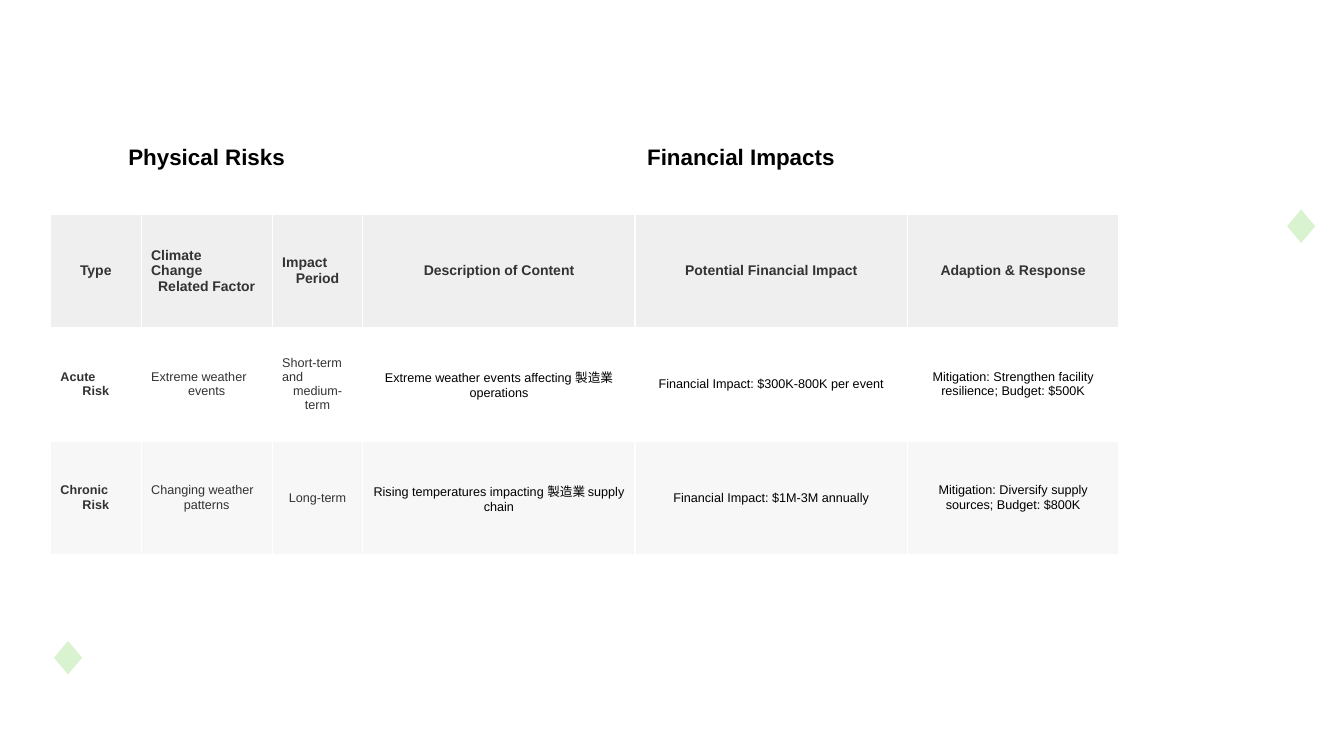
from lxml import etree
from pptx import Presentation
from pptx import util as u
from pptx.dml.color import RGBColor
from pptx.enum import shapes, text
from pptx.oxml.ns import qn

GREEN, WHITE, BLACK, GREY = "D9F2D0", "FFFFFF", "000000", "333333"
COLUMNS = [9, 13, 9, 27, 27, 21]
GROUPS = {0: "Physical Risks", 3: "Financial Impacts"}
HEADINGS = ["Type", "Climate\nChange\nRelated Factor", "Impact\nPeriod",
            "Description of Content", "Potential Financial Impact",
            "Adaption & Response"]
RISKS = [
    ["Acute\nRisk", "Extreme weather\nevents", "Short-term\nand\nmedium-term",
     "Extreme weather events affecting 製造業 operations",
     "Financial Impact: $300K-800K per event",
     "Mitigation: Strengthen facility resilience; Budget: $500K"],
    ["Chronic\nRisk", "Changing weather\npatterns", "Long-term",
     "Rising temperatures impacting 製造業 supply chain",
     "Financial Impact: $1M-3M annually",
     "Mitigation: Diversify supply sources; Budget: $800K"],
]


def color(fmt, value):
    fmt.rgb = RGBColor.from_string(value)


def add_preset(slide, kind, box, line, width, fill=None):
    sp = slide.shapes.add_shape(kind, *map(u.Inches, box))
    sp.shadow.inherit = False
    if fill:
        sp.fill.solid()
        color(sp.fill.fore_color, fill)
    else:
        sp.fill.background()
    color(sp.line.color, line)
    sp.line.width = u.Pt(width)
    return sp


def add_decoration(slide, arc_box, diamond_size, diamond_spots):
    sp = add_preset(slide, shapes.MSO_SHAPE.ARC, arc_box, GREEN, 46.25)
    sp.rotation = 151.3
    sp.adjustments[0], sp.adjustments[1] = 91.23, 129.22
    stroke = sp.line._get_or_add_ln().find(".//" + qn("a:srgbClr"))
    etree.SubElement(stroke, qn("a:alpha"), val="60000")
    for spot in diamond_spots:
        add_preset(slide, shapes.MSO_SHAPE.DIAMOND, spot + diamond_size, WHITE, 1.5, GREEN)


def fill_cell(cell, words, fill, ink, **font):
    cell.fill.solid()
    color(cell.fill.fore_color, fill)
    cell.vertical_anchor = text.MSO_ANCHOR.MIDDLE
    tf = cell.text_frame
    lines = words.split("\n")
    for i, line in enumerate(lines):
        p = tf.add_paragraph() if i else tf.paragraphs[0]
        last = i == len(lines) - 1
        p.alignment = text.PP_ALIGN.CENTER if last else text.PP_ALIGN.LEFT
        r = p.add_run()
        r.text = line
        for name, value in {"name": "Arial", **font}.items():
            setattr(r.font, name, value)
        color(r.font.color, ink)


def add_risk_table(slide, left, top, width, height):
    rows = 2 + len(RISKS)
    frame = slide.shapes.add_table(rows, len(COLUMNS), *map(u.Inches, (left, top, width, height)))
    table = frame.table
    for column, share in zip(table.columns, COLUMNS):
        column.width = u.Inches(width * share / sum(COLUMNS))
    for row in table.rows:
        row.height = u.Inches(height / rows)
    for start, title in GROUPS.items():
        table.cell(0, start).merge(table.cell(0, start + 2))
        fill_cell(table.cell(0, start), title, WHITE, BLACK, size=u.Pt(16), bold=True)
    for c, heading in enumerate(HEADINGS):
        fill_cell(table.cell(1, c), heading, "EFEFEF", GREY, size=u.Pt(10), bold=True)
    for n, (risk, fill) in enumerate(zip(RISKS, [WHITE, "F7F7F7"]), 2):
        for c, words in enumerate(risk):
            ink = GREY if c < 3 else BLACK
            fill_cell(table.cell(n, c), words, fill, ink, size=u.Pt(9), bold=c == 0)


def main():
    prs = Presentation()
    prs.slide_width, prs.slide_height = u.Inches(13.33), u.Inches(7.5)
    slide = prs.slides.add_slide(prs.slide_layouts[6])
    add_decoration(slide, (10.9, -3.38, 4, 4.97), (0.31, 0.37), [(12.75, 2.06), (0.52, 6.34)])
    add_risk_table(slide, 0.5, 1, 10.6, 4.5)
    prs.save("out.pptx")


if __name__ == "__main__":
    main()
